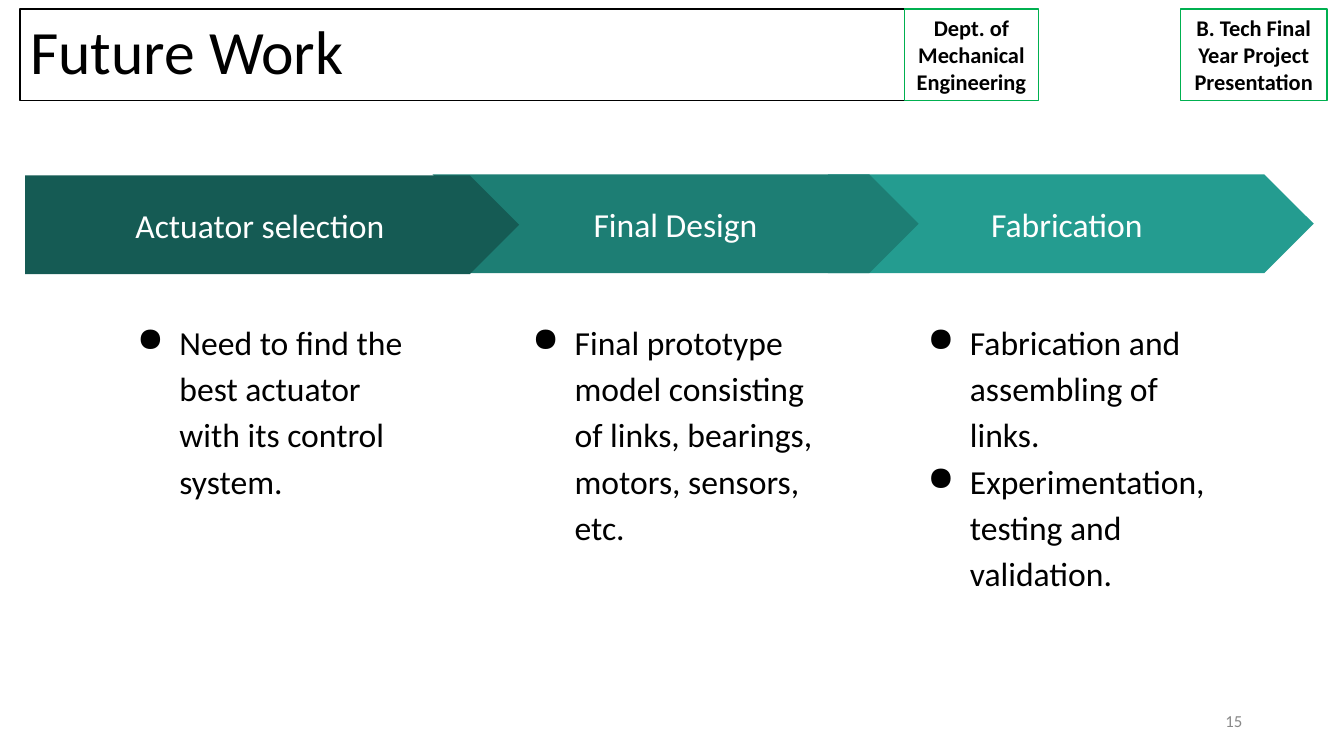
from dataclasses import dataclass

from lxml.etree import SubElement
from pptx import Presentation
from pptx.dml.color import RGBColor
from pptx.enum.shapes import MSO_SHAPE
from pptx.enum.text import MSO_ANCHOR, MSO_AUTO_SIZE, PP_ALIGN
from pptx.oxml.ns import qn
from pptx.util import Inches, Pt

BLACK = RGBColor(0x00, 0x00, 0x00)
WHITE = RGBColor(0xFF, 0xFF, 0xFF)
GREY = RGBColor(0x88, 0x88, 0x88)
GREEN = RGBColor(0x00, 0xB0, 0x50)
DARK_TEAL = RGBColor(0x15, 0x5B, 0x54)
MID_TEAL = RGBColor(0x1D, 0x7E, 0x74)
LIGHT_TEAL = RGBColor(0x24, 0x9C, 0x90)

FONT = "Calibri"
COLUMN_PITCH = 3.92
ARROW_LEFT, ARROW_HEIGHT = 0.37, 0.98
BODY_LEFT, BODY_TOP, BODY_HEIGHT = 1.15, 3.0, 3.81
HEADER_TOP, HEADER_HEIGHT = 0.09, 0.91
STAGE_INSET = 0.13
TEXT_INDENT, BULLET_HANG = 0.5, -0.42


@dataclass(frozen=True)
class Badge:
    left: float
    width: float
    text: str


@dataclass(frozen=True)
class Stage:
    column: int
    name: str
    color: RGBColor
    points: tuple[str, ...]
    outline: MSO_SHAPE = MSO_SHAPE.CHEVRON
    arrow_shift: float = 0
    arrow_top: float = 1.73
    arrow_width: float = 4.82
    body_width: float = 3.26
    name_alignment: PP_ALIGN = PP_ALIGN.CENTER
    name_indent: float = 0


BADGES = (
    Badge(8.97, 1.33, "Dept. of Mechanical Engineering"),
    Badge(11.71, 1.45, "B. Tech Final Year Project Presentation"),
)

# Back to front: each arrow covers the tail of the next column's arrow.
STAGES = (
    Stage(2, "Fabrication", LIGHT_TEAL,
          ("Fabrication and assembling of links.",
           "Experimentation, testing and validation."),
          name_alignment=PP_ALIGN.LEFT, name_indent=0.5),
    Stage(1, "Final Design", MID_TEAL,
          ("Final prototype model consisting of links, bearings, "
           "motors, sensors, etc.",)),
    Stage(0, "Actuator selection", DARK_TEAL,
          ("Need to find the best actuator with its control system.",),
          outline=MSO_SHAPE.PENTAGON, arrow_shift=-0.12, arrow_top=1.74,
          arrow_width=4.9, body_width=3.09),
)


def area(left: float, top: float, width: float, height: float) -> tuple:
    return Inches(left), Inches(top), Inches(width), Inches(height)


def prepare_frame(box, anchor=MSO_ANCHOR.TOP, side=0.1, edge=0.05):
    """Set wrapping, anchor and margins, and return the text frame."""
    frame = box.text_frame
    frame.word_wrap = True
    frame.auto_size = MSO_AUTO_SIZE.NONE
    frame.vertical_anchor = anchor
    frame.margin_left = frame.margin_right = Inches(side)
    frame.margin_top = frame.margin_bottom = Inches(edge)
    return frame


def add_span(para, text: str, size: int, color: RGBColor, bold=False) -> None:
    span = para.add_run()
    span.text = text
    span.font.name = FONT
    span.font.size = Pt(size)
    span.font.bold = bold
    span.font.color.rgb = color


def set_indent(para, left: float, first_line: float) -> None:
    properties = para._p.get_or_add_pPr()
    properties.set("marL", str(Inches(left)))
    properties.set("indent", str(Inches(first_line)))


def add_bullet(para) -> None:
    properties = para._p.get_or_add_pPr()
    color = SubElement(properties, qn("a:buClr"))
    SubElement(color, qn("a:srgbClr"), val=str(BLACK))
    SubElement(properties, qn("a:buChar"), char="●")


def format_title(page) -> None:
    title = page.shapes.title
    title.left, title.top, title.width, title.height = area(
        0.2, HEADER_TOP, 8.77, HEADER_HEIGHT)
    title.line.color.rgb = BLACK
    title.line.width = Pt(1)
    para = prepare_frame(title, MSO_ANCHOR.MIDDLE).paragraphs[0]
    para.alignment = PP_ALIGN.LEFT
    para.line_spacing = 0.9
    add_span(para, "Future Work", 44, BLACK)


def add_page_number(page) -> None:
    box = page.shapes.add_textbox(*area(9.42, 6.95, 3, 0.4))
    para = prepare_frame(box, MSO_ANCHOR.MIDDLE).paragraphs[0]
    para.alignment = PP_ALIGN.RIGHT
    add_span(para, "15", 12, GREY)


def add_badge(page, badge: Badge) -> None:
    box = page.shapes.add_shape(
        MSO_SHAPE.RECTANGLE,
        *area(badge.left, HEADER_TOP, badge.width, HEADER_HEIGHT))
    box.shadow.inherit = False
    box.fill.background()
    box.line.color.rgb = GREEN
    box.line.width = Pt(1)
    para = prepare_frame(box).paragraphs[0]
    para.alignment = PP_ALIGN.CENTER
    add_span(para, badge.text, 16, BLACK, bold=True)


def add_arrow(page, stage: Stage) -> None:
    left = ARROW_LEFT + stage.column * COLUMN_PITCH + stage.arrow_shift
    arrow = page.shapes.add_shape(
        stage.outline,
        *area(left, stage.arrow_top, stage.arrow_width, ARROW_HEIGHT))
    arrow.adjustments[0] = 0.5
    arrow.shadow.inherit = False
    arrow.fill.solid()
    arrow.fill.fore_color.rgb = stage.color
    arrow.line.fill.background()
    frame = prepare_frame(arrow, MSO_ANCHOR.MIDDLE, STAGE_INSET, STAGE_INSET)
    para = frame.paragraphs[0]
    para.alignment = stage.name_alignment
    set_indent(para, stage.name_indent, stage.name_indent)
    add_span(para, stage.name, 24, WHITE)


def add_points(page, stage: Stage) -> None:
    left = BODY_LEFT + stage.column * COLUMN_PITCH
    box = page.shapes.add_textbox(
        *area(left, BODY_TOP, stage.body_width, BODY_HEIGHT))
    frame = prepare_frame(box, side=STAGE_INSET, edge=STAGE_INSET)
    for index, point in enumerate(stage.points):
        para = frame.add_paragraph() if index else frame.paragraphs[0]
        set_indent(para, TEXT_INDENT, BULLET_HANG)
        add_bullet(para)
        para.line_spacing = 1.15
        add_span(para, point, 24, BLACK)


def main() -> None:
    deck = Presentation()
    deck.slide_width, deck.slide_height = Inches(13.33), Inches(7.5)
    page = deck.slides.add_slide(deck.slide_layouts.get_by_name("Title Only"))
    format_title(page)
    add_page_number(page)
    for badge in BADGES:
        add_badge(page, badge)
    for stage in STAGES:
        add_arrow(page, stage)
        add_points(page, stage)
    deck.save("out.pptx")


if __name__ == "__main__":
    main()
